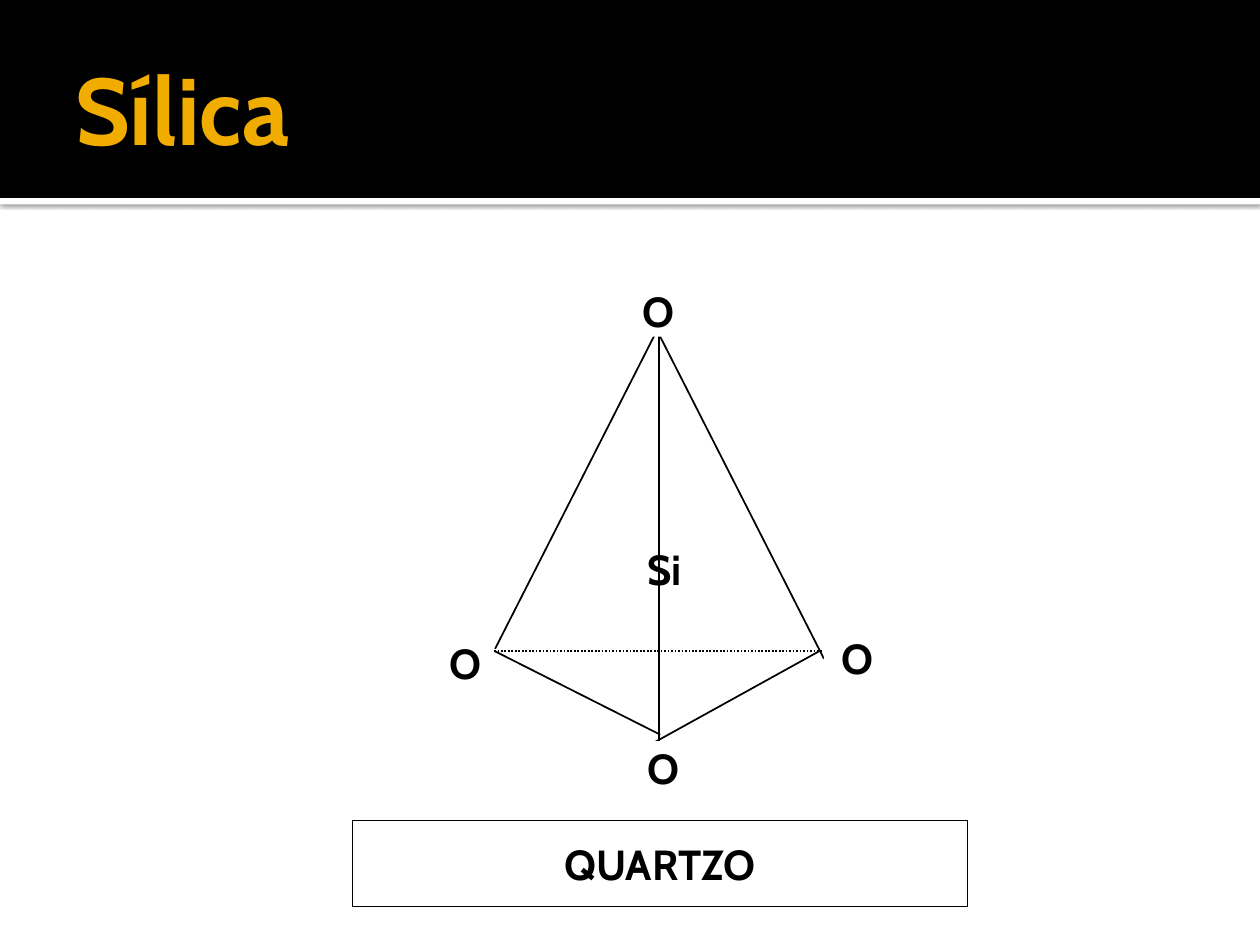
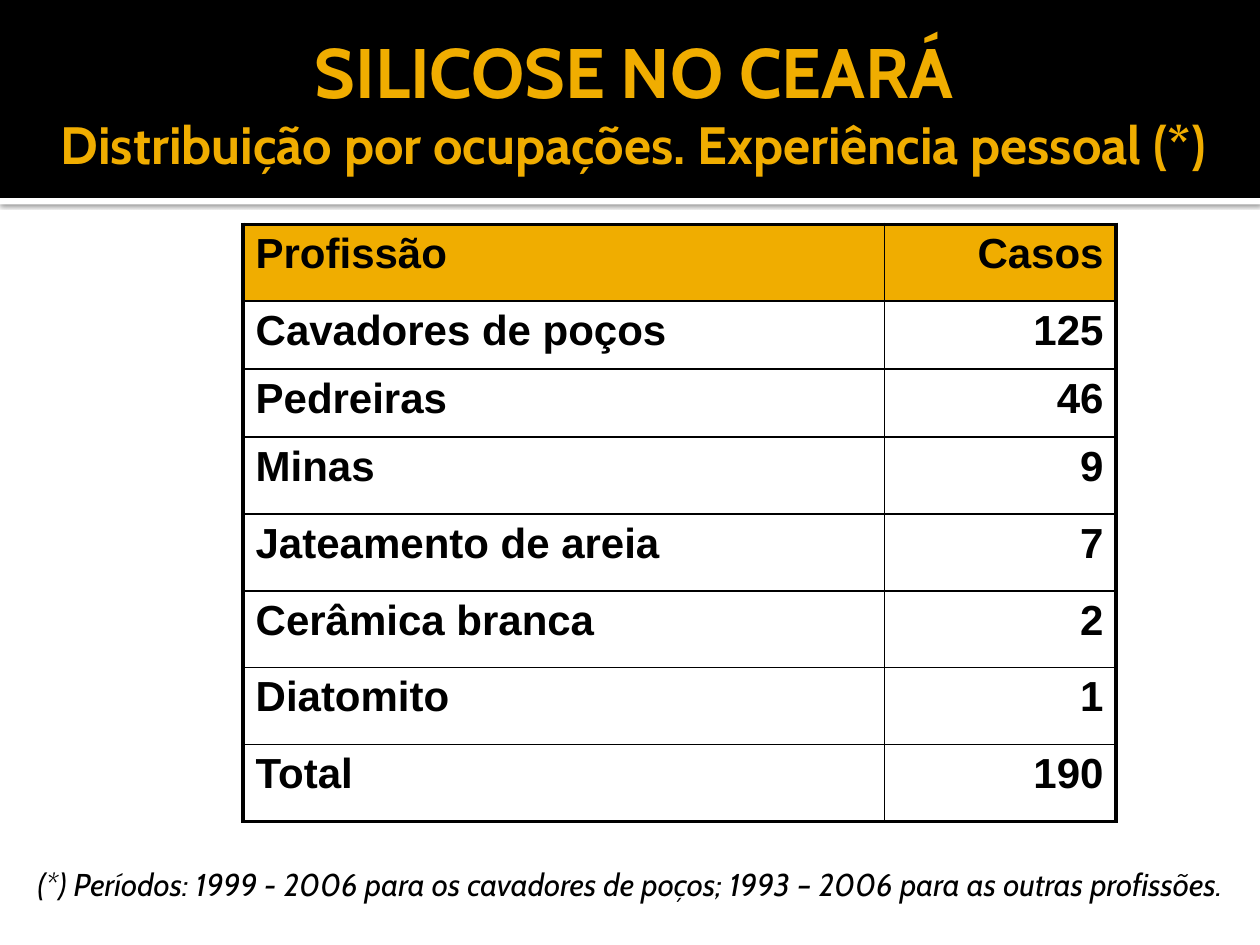
from dataclasses import dataclass

from lxml import etree
from pptx import Presentation
from pptx.dml.color import RGBColor
from pptx.enum import dml, shapes, text
from pptx.oxml import ns
from pptx.util import Cm, Pt


@dataclass(frozen=True)
class Theme:
    ink: str = "000000"
    paper: str = "FFFFFF"
    accent: str = "F0AD00"
    heading_font: str = "Cabin"
    table_font: str = "Arial"
    title_size: float = 54
    caps_title_size: float = 40
    subtitle_size: float = 30
    body_size: float = 24
    note_size: float = 18
    thin: float = 1
    frame: float = 0.75
    thick: float = 2.25


SLIDE_WIDTH, SLIDE_HEIGHT = 25.4, 19.05
BAND_HEIGHT, RULE_HEIGHT = 3.99, 0.13
TITLE_ONLY = 5


def rgb(colour):
    return RGBColor.from_string(colour)


def add_xml(parent, tag, **attributes):
    return etree.SubElement(parent, ns.qn(tag), attributes)


class Deck:
    def __init__(self, theme):
        self.theme = theme
        self.presentation = Presentation()
        self.presentation.slide_width = Cm(SLIDE_WIDTH)
        self.presentation.slide_height = Cm(SLIDE_HEIGHT)
        self.slide = None

    def new_slide(self):
        layout = self.presentation.slide_layouts[TITLE_ONLY]
        self.slide = self.presentation.slides.add_slide(layout)
        rule = self.box((0, BAND_HEIGHT, SLIDE_WIDTH, RULE_HEIGHT), self.theme.paper)
        self.cast_shadow(rule)
        band = self.box((0, 0, SLIDE_WIDTH, BAND_HEIGHT), self.theme.ink)
        tree = self.slide.shapes.title._element.getparent()
        for backdrop in (band, rule):
            tree.remove(backdrop._element)
            tree.insert(2, backdrop._element)

    def cast_shadow(self, shape):
        effects = shape._element.spPr.find(ns.qn("a:effectLst"))
        shadow = add_xml(effects, "a:outerShdw", blurRad=str(Pt(2.5)),
                         dist=str(Pt(0.8)), dir="5400000", rotWithShape="0")
        colour = add_xml(shadow, "a:srgbClr", val=self.theme.ink)
        add_xml(colour, "a:alpha", val="60000")

    def style(self, run, size, font=None, colour=None, bold=True, italic=False):
        run.font.name = font or self.theme.heading_font
        run.font.size = Pt(size)
        run.font.bold = bold
        run.font.italic = italic
        run.font.color.rgb = rgb(colour or self.theme.ink)

    def title(self, lines, sizes, place, align):
        heading = self.slide.shapes.title
        heading.left, heading.top, heading.width, heading.height = map(Cm, place)
        frame = heading.text_frame
        frame.auto_size = text.MSO_AUTO_SIZE.NONE
        frame.vertical_anchor = text.MSO_ANCHOR.MIDDLE
        frame.margin_left = Cm(0.25)
        frame.margin_right = frame.margin_top = frame.margin_bottom = Cm(0.13)
        paragraph = frame.paragraphs[0]
        paragraph.text = "\v".join(lines)
        paragraph.alignment = align
        for run, size in zip(paragraph.runs, sizes):
            self.style(run, size, colour=self.theme.accent)

    def box(self, place, fill, outlined=False):
        shape = self.slide.shapes.add_shape(
            shapes.MSO_SHAPE.RECTANGLE, *map(Cm, place))
        shape.shadow.inherit = False
        shape.fill.solid()
        shape.fill.fore_color.rgb = rgb(fill)
        if outlined:
            shape.line.color.rgb = rgb(self.theme.ink)
            shape.line.width = Pt(self.theme.frame)
        else:
            shape.line.fill.background()
        return shape

    def label(self, words, place, size=None, align=text.PP_ALIGN.CENTER,
              outlined=False, bold=True, italic=False):
        frame = self.box(place, self.theme.paper, outlined).text_frame
        frame.word_wrap = False
        frame.vertical_anchor = text.MSO_ANCHOR.MIDDLE
        frame.text = words
        paragraph = frame.paragraphs[0]
        paragraph.alignment = align
        self.style(paragraph.runs[0], size or self.theme.body_size,
                   bold=bold, italic=italic)

    def line(self, start, end, dash=None):
        edge = self.slide.shapes.add_connector(
            shapes.MSO_CONNECTOR.STRAIGHT, *map(Cm, start + end))
        edge.line.color.rgb = rgb(self.theme.ink)
        edge.line.width = Pt(self.theme.thin)
        if dash:
            edge.line.dash_style = dash
        add_xml(edge._element.spPr, "a:effectLst")

    def table(self, rows, origin, widths, heights):
        """Draw a grid with a thick frame, a filled header and figures on the right."""
        grid = self.slide.shapes.add_table(
            len(rows), len(widths), *map(Cm, (*origin, sum(widths), sum(heights)))).table
        for column, width in zip(grid.columns, widths):
            column.width = Cm(width)
        last_row, last_column = len(rows) - 1, len(widths) - 1
        for r, (entries, height) in enumerate(zip(rows, heights)):
            grid.rows[r].height = Cm(height)
            for c, entry in enumerate(entries):
                cell = grid.cell(r, c)
                self.borders(cell, L=c == 0, R=c == last_column,
                             T=r == 0, B=r == last_row)
                cell.fill.solid()
                cell.fill.fore_color.rgb = rgb(
                    self.theme.accent if r == 0 else self.theme.paper)
                cell.text_frame.text = entry
                paragraph = cell.text_frame.paragraphs[0]
                paragraph.alignment = (
                    text.PP_ALIGN.RIGHT if c else text.PP_ALIGN.LEFT)
                self.style(paragraph.runs[0], self.theme.body_size,
                           self.theme.table_font)

    def borders(self, cell, **outer_sides):
        properties = cell._tc.get_or_add_tcPr()
        for side, outer in outer_sides.items():
            width = self.theme.thick if outer else self.theme.thin
            border = add_xml(properties, f"a:ln{side}", w=str(Pt(width)))
            add_xml(add_xml(border, "a:solidFill"), "a:srgbClr", val=self.theme.ink)


def silica_slide(deck):
    deck.new_slide()
    deck.title(["Sílica"], [deck.theme.title_size],
               (1.27, 0.43, 22.86, 3.48), text.PP_ALIGN.LEFT)
    deck.label("Si", (12.32, 10.72, 2.16, 1.47))
    tetrahedron_edges = [
        ((13.28, 6.73), (13.28, 14.99)),
        ((13.11, 15.01), (16.51, 13.13)),
        ((13.31, 14.81), (9.98, 13.13)),
        ((9.98, 13.08), (13.31, 6.53)),
        ((16.61, 13.28), (13.28, 6.73)),
    ]
    for start, end in tetrahedron_edges:
        deck.line(start, end)
    deck.line((9.96, 13.13), (16.61, 13.13), dml.MSO_LINE.ROUND_DOT)
    oxygen_places = [
        (12.5, 5.72, 1.55, 1.07),
        (16.61, 12.52, 1.37, 1.47),
        (12.5, 14.94, 1.75, 1.07),
        (8.79, 12.73, 1.17, 1.27),
    ]
    for place in oxygen_places:
        deck.label("O", place)
    deck.label("QUARTZO", (7.11, 16.54, 12.4, 1.73), outlined=True)


def silicosis_slide(deck):
    theme = deck.theme
    deck.new_slide()
    deck.title(
        ["SILICOSE NO CEARÁ", "Distribuição por ocupações. Experiência pessoal (*)"],
        [theme.caps_title_size, theme.subtitle_size],
        (0.51, 0, 24.41, 4.11), text.PP_ALIGN.CENTER)
    cases_by_occupation = [
        ("Profissão", "Casos"),
        ("Cavadores de poços", "125"),
        ("Pedreiras", "46"),
        ("Minas", "9"),
        ("Jateamento de areia", "7"),
        ("Cerâmica branca", "2"),
        ("Diatomito", "1"),
        ("Total", "190"),
    ]
    deck.table(cases_by_occupation, (4.9, 4.52), (12.93, 4.67),
               [1.55] + [1.37] * 2 + [1.55] * 5)
    deck.label(
        "(*) Períodos: 1999 - 2006 para os cavadores de poços; "
        "1993 – 2006 para as outras profissões.",
        (0.51, 16.92, 24.21, 1.8), theme.note_size, text.PP_ALIGN.LEFT,
        bold=False, italic=True)


def main():
    deck = Deck(Theme())
    silica_slide(deck)
    silicosis_slide(deck)
    deck.presentation.save("out.pptx")


if __name__ == "__main__":
    main()
